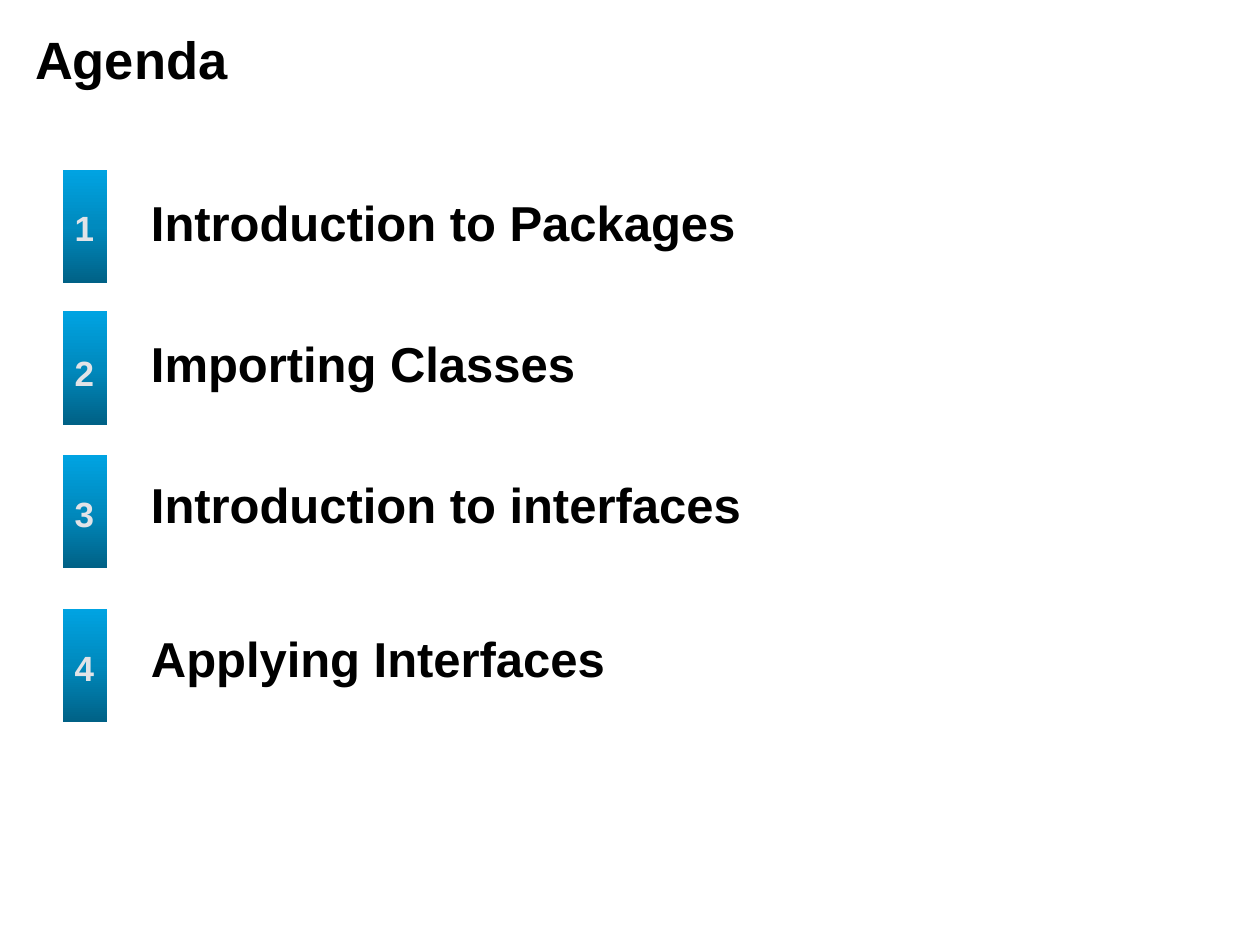
from copy import deepcopy

from pptx import Presentation
from pptx.dml.color import RGBColor
from pptx.enum.shapes import MSO_SHAPE
from pptx.enum.text import MSO_ANCHOR, PP_ALIGN
from pptx.oxml.ns import qn
from pptx.util import Inches, Pt

RECTANGLE = MSO_SHAPE.RECTANGLE
TOP, MIDDLE = MSO_ANCHOR.TOP, MSO_ANCHOR.MIDDLE
LEFT, CENTER = PP_ALIGN.LEFT, PP_ALIGN.CENTER


def color(hex_value):
    return RGBColor.from_string(hex_value)


class AgendaSlide:
    font_name = "Arial"
    text_color = "000000"
    number_color = "E2E3E7"
    bar_stops = ((0, "006186"), (0.5, "008ABE"), (1, "00A3E2"))

    def __init__(self, presentation):
        self.slide = presentation.slides.add_slide(presentation.slide_layouts[6])

    def add_text(self, text, left, top, width, height, size, text_color=text_color,
                 alignment=LEFT, anchor=TOP, side_margin=0.1):
        shape = self.slide.shapes.add_textbox(
            Inches(left), Inches(top), Inches(width), Inches(height))
        text_frame = shape.text_frame
        text_frame.word_wrap = True
        text_frame.vertical_anchor = anchor
        text_frame.margin_left = text_frame.margin_right = Inches(side_margin)
        text_frame.text = text
        paragraph = text_frame.paragraphs[0]
        paragraph.alignment = alignment
        font = paragraph.runs[0].font
        font.name = self.font_name
        font.size = Pt(size)
        font.bold = True
        font.color.rgb = color(text_color)

    def add_bar(self, left, top, width, height):
        shape = self.slide.shapes.add_shape(
            RECTANGLE, Inches(left), Inches(top), Inches(width), Inches(height))
        shape.shadow.inherit = False
        shape.line.fill.background()
        shape.fill.gradient()
        shape.fill.gradient_angle = 90
        stop_list = next(shape.element.iter(qn("a:gsLst")))
        stop_list.append(deepcopy(stop_list[0]))
        for stop, (position, hex_value) in zip(shape.fill.gradient_stops, self.bar_stops):
            stop.position = position
            stop.color.rgb = color(hex_value)

    def add_title(self, text):
        self.add_text(text, 0.18, 0.16, 9.28, 0.61, 30, anchor=MIDDLE)

    def add_topic(self, number, text, bar_top, number_top, text_top):
        self.add_bar(0.5, bar_top, 0.35, 0.9)
        self.add_text(str(number), 0.5, number_top, 0.34, 0.2, 20,
                      self.number_color, CENTER, side_margin=0)
        self.add_text(text, 1.1, text_top, 7.67, 0.71, 28)


presentation = Presentation()
presentation.slide_width = Inches(10)
presentation.slide_height = Inches(7.5)

agenda = AgendaSlide(presentation)
agenda.add_title("Agenda")
topics = (
    ("Introduction to Packages", 1.35, 1.59, 1.48),
    ("Importing Classes", 2.47, 2.74, 2.6),
    ("Introduction to interfaces", 3.61, 3.86, 3.72),
    ("Applying Interfaces", 4.83, 5.08, 4.94),
)
for number, topic in enumerate(topics, 1):
    agenda.add_topic(number, *topic)

presentation.save("out.pptx")
